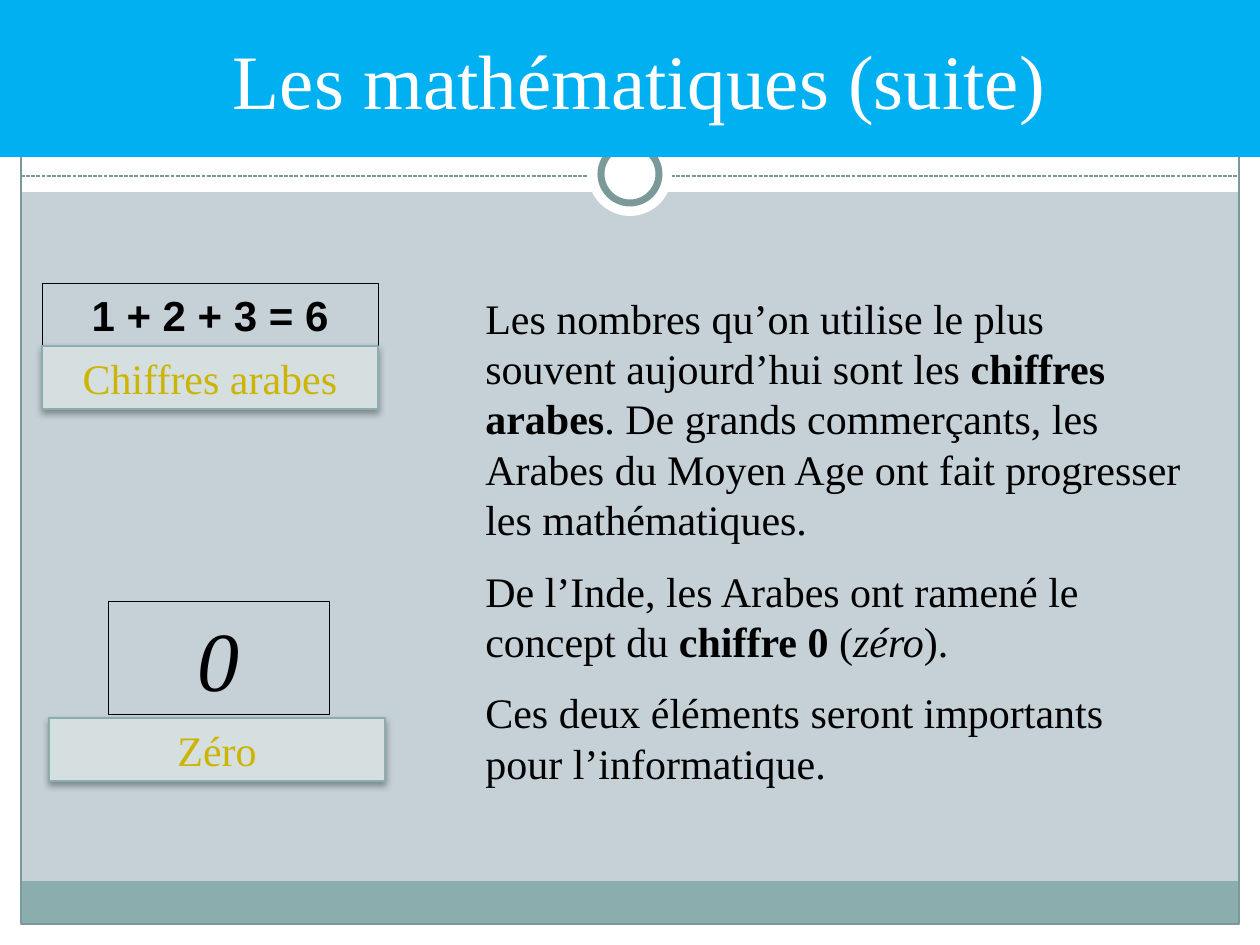
from dataclasses import dataclass

from lxml.etree import SubElement
from pptx import Presentation
from pptx.dml.color import RGBColor
from pptx.enum.dml import MSO_LINE
from pptx.enum.shapes import MSO_CONNECTOR, MSO_SHAPE
from pptx.enum.text import MSO_ANCHOR, PP_ALIGN
from pptx.oxml.ns import qn
from pptx.util import Emu, Pt

SCALE = 914400 / 126  # EMU per px
WIDTH, HEIGHT = 1260, 945
MARGIN = 21


@dataclass(frozen=True)
class Theme:
    background: str = "C5D1D7"
    white: str = "FFFFFF"
    black: str = "000000"
    title_fill: str = "00B0F0"
    band: str = "8CADAE"
    frame: str = "7C999A"
    caption_fill: str = "D5DFDF"
    caption_text: str = "CCB400"
    serif: str = "Times New Roman"
    sans: str = "Arial"
    title_size: int = 44
    body_size: int = 24
    zero_size: int = 48


THEME = Theme()


def px(value):
    return Emu(round(value * SCALE))


def color(value):
    return RGBColor.from_string(value)


def add_box(slide, box, fill=None, line=None, weight=0.75, kind=MSO_SHAPE.RECTANGLE):
    shape = slide.shapes.add_shape(kind, *map(px, box))
    shape.shadow.inherit = False
    if fill:
        shape.fill.solid()
        shape.fill.fore_color.rgb = color(fill)
    else:
        shape.fill.background()
    if line:
        shape.line.color.rgb = color(line)
        shape.line.width = Pt(weight)
    else:
        shape.line.fill.background()
    return shape


def add_dashed_line(slide, start, end):
    line = slide.shapes.add_connector(MSO_CONNECTOR.STRAIGHT, *map(px, start + end))
    line.line.color.rgb = color(THEME.frame)
    line.line.width = Pt(0.75)
    line.line.dash_style = MSO_LINE.SQUARE_DOT
    SubElement(line._element.spPr, qn("a:effectLst"))


def add_drop_shadow(shape):
    effects = shape._element.spPr.find(qn("a:effectLst"))
    shadow = SubElement(effects, qn("a:outerShdw"), blurRad=str(Pt(4)),
                        dist=str(Pt(2)), dir="5400000", rotWithShape="0")
    shade = SubElement(shadow, qn("a:srgbClr"), val=THEME.black)
    SubElement(shade, qn("a:alpha"), val="35000")


def add_run(paragraph, text, text_color, **formats):
    run = paragraph.add_run()
    run.text = text
    for name, value in formats.items():
        setattr(run.font, name, value)
    run.font.color.rgb = color(text_color)


def write_label(shape, text, text_color, **formats):
    frame = shape.text_frame
    frame.word_wrap = True
    frame.vertical_anchor = MSO_ANCHOR.MIDDLE
    paragraph = frame.paragraphs[0]
    paragraph.alignment = PP_ALIGN.CENTER
    add_run(paragraph, text, text_color, **formats)


def add_caption(slide, box, text):
    shape = add_box(slide, box, THEME.caption_fill, THEME.band)
    add_drop_shadow(shape)
    write_label(shape, text, THEME.caption_text,
                name=THEME.serif, size=Pt(THEME.body_size))


def add_example(slide, box, text, **formats):
    shape = add_box(slide, box, line=THEME.black, weight=0.25)
    write_label(shape, text, THEME.black, **formats)


def add_body(slide, box, paragraphs):
    frame = slide.shapes.add_textbox(*map(px, box)).text_frame
    frame.word_wrap = True
    for index, runs in enumerate(paragraphs):
        paragraph = frame.add_paragraph() if index else frame.paragraphs[0]
        paragraph.space_before = Pt(THEME.body_size / 2)
        for text, formats in runs:
            add_run(paragraph, text, THEME.black, name=THEME.serif,
                    size=Pt(THEME.body_size), **formats)


def add_backdrop(slide):
    slide.background.fill.solid()
    slide.background.fill.fore_color.rgb = color(THEME.background)
    right, bottom = WIDTH - MARGIN, HEIGHT - MARGIN
    inner = right - MARGIN

    # White margins and footer band
    for box in ((0, bottom, WIDTH, MARGIN), (0, 0, WIDTH, 192),
                (0, 0, MARGIN, HEIGHT), (right, 0, MARGIN, HEIGHT)):
        add_box(slide, box, THEME.white)
    add_box(slide, (MARGIN, 881, inner, bottom - 881), THEME.band)

    # Frame, dashed rule and ring
    add_box(slide, (MARGIN, MARGIN, inner, bottom - MARGIN), line=THEME.frame)
    add_dashed_line(slide, (MARGIN, 176), (right, 176))
    for size, line in ((84, None), (58, THEME.frame)):
        box = ((WIDTH - size) / 2, 174 - size / 2, size, size)
        add_box(slide, box, THEME.white, line, 4, MSO_SHAPE.OVAL)


def main():
    presentation = Presentation()
    presentation.slide_width, presentation.slide_height = px(WIDTH), px(HEIGHT)
    slide = presentation.slides.add_slide(presentation.slide_layouts[6])
    add_backdrop(slide)

    # Title
    title = add_box(slide, (0, 0, WIDTH, 157), THEME.title_fill)
    write_label(title, " Les mathématiques (suite)", THEME.white,
                name=THEME.serif, size=Pt(THEME.title_size))

    # Explanation
    bold, italic = {"bold": True}, {"italic": True}
    add_body(slide, (473, 286, 721, 522), [
        [("Les nombres qu’on utilise le plus souvent aujourd’hui sont les ", {}),
         ("chiffres arabes", bold),
         (". De grands commerçants, les Arabes du Moyen Age ont fait "
          "progresser les mathématiques.", {})],
        [("De l’Inde, les Arabes ont ramené le concept du ", {}),
         ("chiffre 0", bold), (" (", {}), ("zéro", italic), (").", {})],
        [("Ces deux éléments seront importants pour l’informatique.", {})],
    ])

    # Examples with their captions
    add_example(slide, (42, 283, 336, 63), "1 + 2 + 3 = 6",
                name=THEME.sans, size=Pt(THEME.body_size), bold=True)
    add_caption(slide, (42, 346, 336, 63), "Chiffres arabes")
    add_example(slide, (108, 601, 221, 113), "0",
                name=THEME.serif, size=Pt(THEME.zero_size), italic=True)
    add_caption(slide, (49, 718, 336, 63), "Zéro")

    presentation.save("out.pptx")


if __name__ == "__main__":
    main()
